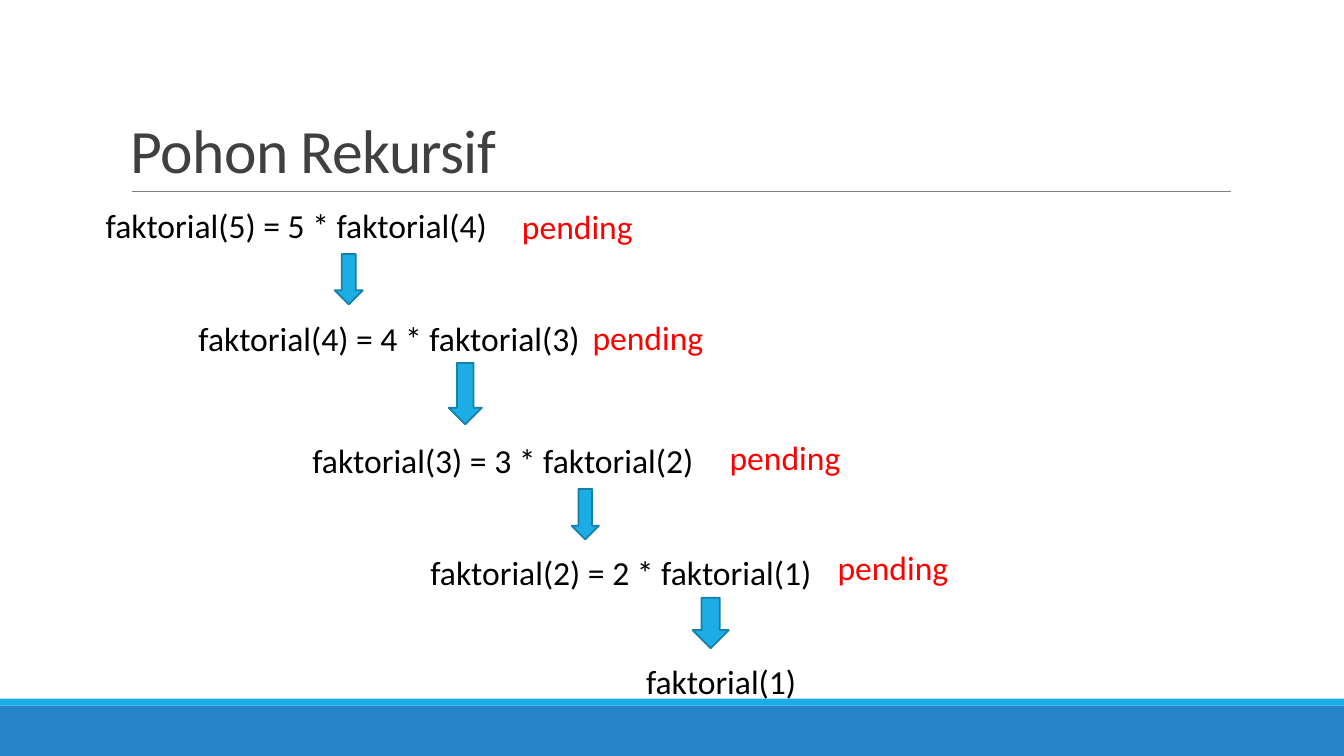
"""Build the slide that unrolls a recursive factorial, step by step."""
import pptx
import pptx.util
import pptx.dml.color
import pptx.enum.shapes
import pptx.enum.text
import lxml.etree

RGB = pptx.dml.color.RGBColor
BLUE = RGB(0x26, 0x83, 0xC6)
CYAN = RGB(0x1C, 0xAD, 0xE4)
EDGE = RGB(0x15, 0x80, 0xA9)
GREY = RGB(0x80, 0x80, 0x80)
DARK = RGB(0x40, 0x40, 0x40)
BLACK = RGB(0, 0, 0)
RED = RGB(0xFF, 0, 0)
KIND = pptx.enum.shapes.MSO_SHAPE

deck = pptx.Presentation()
deck.slide_width = pptx.util.Inches(13.33)
deck.slide_height = pptx.util.Inches(7.5)
slide = deck.slides.add_slide(deck.slide_layouts[6])
shapes = slide.shapes
col = deck.slide_width / 100
row = deck.slide_height / 100


def draw(kind, left, top, width, height, fill):
    """Add a filled shape without line or shadow, placed in percent of the slide."""
    shape = shapes.add_shape(kind, int(left * col), int(top * row),
                             int(width * col), int(height * row))
    shape.shadow.inherit = False
    shape.fill.solid()
    shape.fill.fore_color.rgb = fill
    shape.line.fill.background()
    return shape


def write(words, left, top, width, height, size, color):
    """Add a text box with one run, placed in percent of the slide."""
    box = shapes.add_textbox(int(left * col), int(top * row),
                             int(width * col), int(height * row))
    box.text_frame.word_wrap = True
    run = box.text_frame.paragraphs[0].add_run()
    run.text = words
    run.font.name = "Calibri"
    run.font.size = pptx.util.Pt(size)
    run.font.color.rgb = color
    return box.text_frame


draw(KIND.RECTANGLE, 0, 93.33, 100, 6.67, BLUE)
draw(KIND.RECTANGLE, 0, 92.4, 100, 0.93, CYAN)

rule = shapes.add_connector(pptx.enum.shapes.MSO_CONNECTOR.STRAIGHT,
                            int(9.82 * col), int(25.33 * row),
                            int(91.58 * col), int(25.33 * row))
rule.line.color.rgb = GREY
rule.line.width = pptx.util.Pt(0.5)
lxml.etree.SubElement(rule._element.spPr, pptx.oxml.ns.qn("a:effectLst"))

title = write("Pohon Rekursif", 9, 4.13, 82.5, 21.2, 44, DARK)
title.vertical_anchor = pptx.enum.text.MSO_ANCHOR.BOTTOM
head = title.paragraphs[0]
head.line_spacing = 0.85
head.runs[0].font._element.set("spc", "-50")

calls = [(7.13, 26.4), (14.03, 41.33), (22.5, 57.47), (31.28, 72.4)]
arrows = [(24.9, 33.6, 2.1, 6.67), (33.38, 48, 2.48, 8.13),
          (42.53, 64.67, 2.03, 6.67), (51.53, 79.07, 2.7, 6.67)]
waits = [(38.1, 26.53), (43.35, 41.2), (53.55, 57.07), (61.58, 71.73)]

for step, (call, arrow, wait) in enumerate(zip(calls, arrows, waits)):
    num = 5 - step
    write(f"faktorial({num}) = {num} * faktorial({num - 1})",
          *call, 37.43, 6.67, 24, BLACK)
    down = draw(KIND.DOWN_ARROW, *arrow, CYAN)
    down.line.color.rgb = EDGE
    down.line.width = pptx.util.Pt(1.25)
    write("pending", *wait, 14.33, 6.67, 24, RED)

write("faktorial(1)", 47.33, 86.8, 39.45, 6.67, 24, BLACK)

deck.save("out.pptx")
